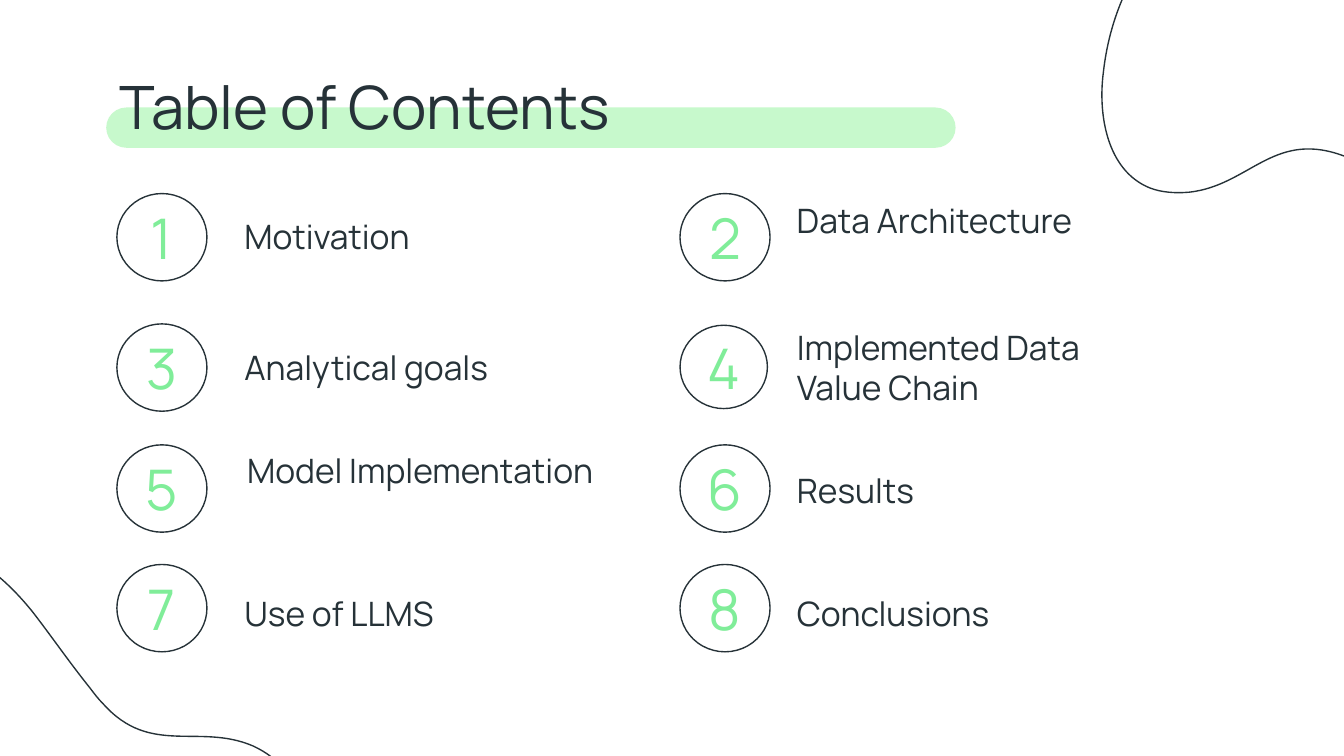
import pptx
import pptx.util
import pptx.dml.color
import pptx.enum.shapes
import pptx.enum.text
import pptx.oxml.ns
import lxml.etree

EMU_PER_PX = 9144
FONT = "Manrope"
INK = "263238"
GREEN = "80ED99"
PALE_GREEN = "C7F9CC"
INSET = 10
CIRCLE_W, CIRCLE_H = 67, 65
CIRCLE_LEFTS = (87, 506)
CIRCLE_TOPS = (144, 241, 331, 420)

TOPICS = [
    ("Motivation", 172, 151, 280, 49),
    ("Data Architecture", 583, 139, 227, 67),
    ("Analytical goals", 172, 248, 312, 49),
    ("Implemented Data Value Chain", 583, 233, 278, 62),
    ("Model Implementation", 174, 325, 312, 59),
    ("Results", 583, 340, 185, 45),
    ("Use of LLMS", 172, 431, 280, 47),
    ("Conclusions", 583, 431, 185, 49),
]

TOP_BLOB = [
    (856, 140),
    (864, 143), (874, 144), (885, 143),
    (929, 138), (947, 98), (997, 115),
    (1002, 117), (1007, 118), (1012, 120),
    (1035, 129), (1056, 140), (1077, 148),
    (1103, 158), (1129, 164), (1162, 159),
    (1219, 152), (1243, 118), (1250, 71),
    (1264, -11), (1212, -71), (1137, -100),
    (1105, -112), (1069, -118), (1032, -118),
    (914, -118), (832, -46), (821, 54),
    (817, 84), (823, 127), (856, 140),
]

BOTTOM_BLOB = [
    (212, 573),
    (206, 566), (199, 560), (188, 555),
    (148, 538), (112, 563), (77, 524),
    (73, 520), (70, 516), (67, 512),
    (51, 492), (38, 473), (24, 455),
    (7, 434), (-13, 416), (-44, 403),
    (-97, 381), (-134, 399), (-165, 436),
    (-217, 500), (-202, 578), (-152, 640),
    (-130, 667), (-102, 690), (-70, 709),
    (32, 767), (139, 746), (199, 665),
    (217, 641), (234, 600), (212, 573),
]


def px(n):
    return pptx.util.Emu(round(n * EMU_PER_PX))


def rgb(value):
    return pptx.dml.color.RGBColor.from_string(value)


def outline(sp):
    sp.shadow.inherit = False
    sp.fill.background()
    sp.line.color.rgb = rgb(INK)
    sp.line.width = pptx.util.Pt(0.75)


def write(sp, text, size, color, align="LEFT", anchor="TOP"):
    tf = sp.text_frame
    tf.word_wrap = True
    tf.auto_size = pptx.enum.text.MSO_AUTO_SIZE.NONE
    tf.vertical_anchor = pptx.enum.text.MSO_ANCHOR[anchor]
    tf.margin_left = tf.margin_right = px(INSET)
    tf.margin_top = tf.margin_bottom = px(INSET)
    p = tf.paragraphs[0]
    p.alignment = pptx.enum.text.PP_ALIGN[align]
    r = p.add_run()
    r.text = text
    r.font.name = FONT
    r.font.size = pptx.util.Pt(size)
    r.font.color.rgb = rgb(color)


def curve_segments(sp):
    qn = pptx.oxml.ns.qn
    lines = list(sp.element.iter(qn("a:lnTo")))
    for i in range(0, len(lines), 3):
        curve = lxml.etree.Element(qn("a:cubicBezTo"))
        lines[i].addprevious(curve)
        for line in lines[i:i + 3]:
            curve.append(line[0])
            line.getparent().remove(line)


def add_blob(s, nodes):
    builder = s.shapes.build_freeform(*nodes[0], scale=EMU_PER_PX)
    builder.add_line_segments(nodes[1:], close=True)
    sp = builder.convert_to_shape()
    curve_segments(sp)
    outline(sp)


def add_band(s, x, y, w, h):
    sp = s.shapes.add_shape(
        pptx.enum.shapes.MSO_SHAPE.ROUNDED_RECTANGLE, px(x), px(y), px(w), px(h))
    sp.adjustments[0] = 0.5
    sp.shadow.inherit = False
    sp.fill.solid()
    sp.fill.fore_color.rgb = rgb(PALE_GREEN)
    sp.line.fill.background()


def add_title(s, text, x, y, w, h):
    sp = s.shapes.title
    sp.left, sp.top, sp.width, sp.height = px(x), px(y), px(w), px(h)
    write(sp, text, 32, INK)
    sp.element.getparent().append(sp.element)


def add_number(s, number, x, y, w, h):
    sp = s.shapes.add_shape(
        pptx.enum.shapes.MSO_SHAPE.OVAL, px(x), px(y), px(w), px(h))
    outline(sp)
    write(sp, str(number), 30, GREEN, "CENTER", "MIDDLE")


def add_topic(s, text, x, y, w, h):
    sp = s.shapes.add_textbox(px(x), px(y), px(w), px(h))
    write(sp, text, 18, INK)


def main():
    prs = pptx.Presentation()
    prs.slide_width, prs.slide_height = px(1000), px(562.5)
    s = prs.slides.add_slide(prs.slide_layouts[5])
    add_band(s, 79, 80, 632, 30)
    add_blob(s, TOP_BLOB)
    add_blob(s, BOTTOM_BLOB)
    add_title(s, "Table of Contents", 79, 42, 843, 67)
    for i, topic in enumerate(TOPICS):
        row, col = divmod(i, 2)
        x, y, w, h = CIRCLE_LEFTS[col], CIRCLE_TOPS[row], CIRCLE_W, CIRCLE_H
        if i == 3:
            y, w, h = y + 1, 65, 62
        add_number(s, i + 1, x, y, w, h)
        add_topic(s, *topic)
    prs.save("out.pptx")


if __name__ == "__main__":
    main()
